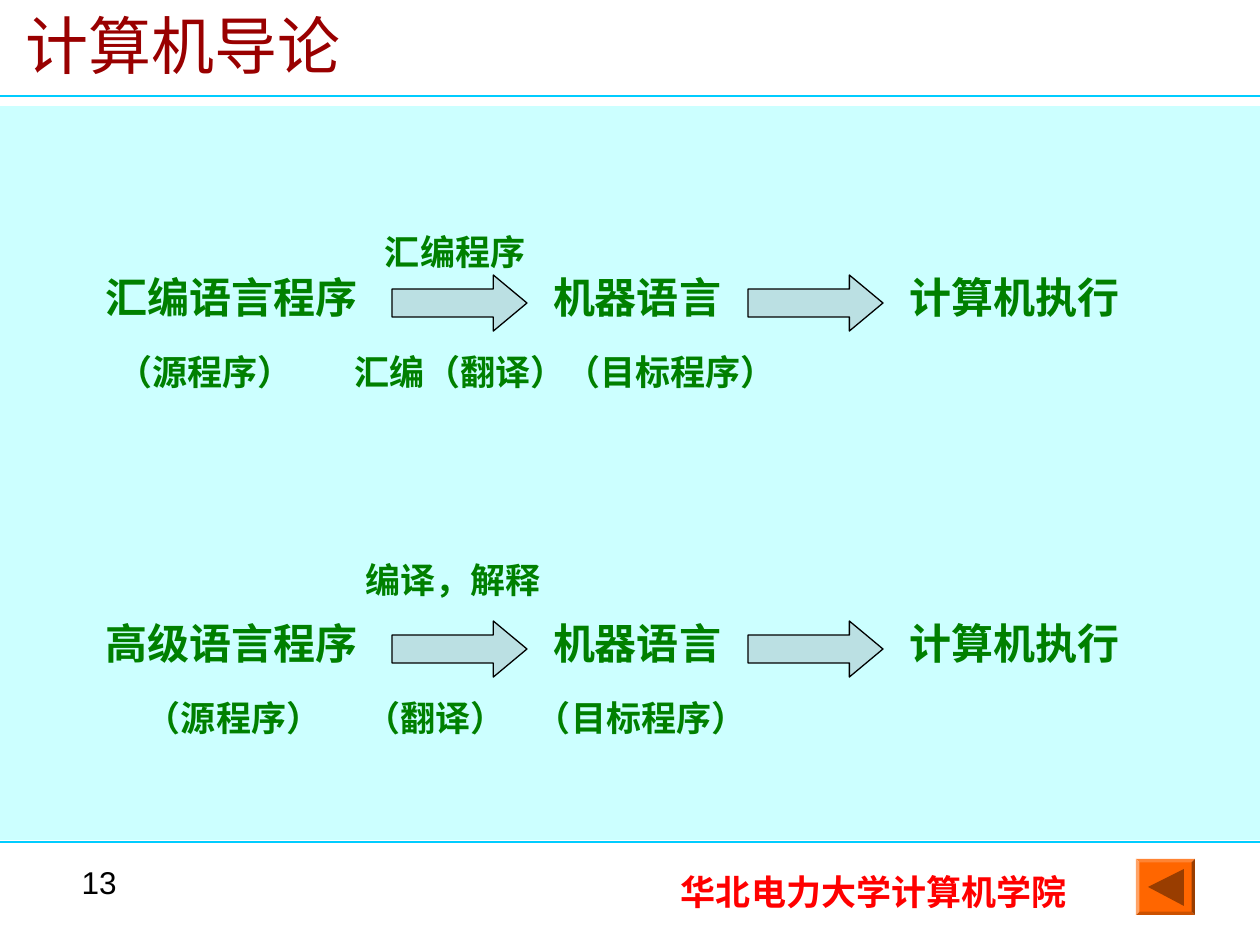
"""Build a slide showing how assembly and high-level programs become machine language."""
from dataclasses import dataclass

import pptx
import pptx.dml.color
import pptx.enum.shapes
import pptx.enum.text
import pptx.oxml
import pptx.oxml.ns
import pptx.util

RGBColor = pptx.dml.color.RGBColor
MSO_SHAPE = pptx.enum.shapes.MSO_SHAPE
PP_ALIGN = pptx.enum.text.PP_ALIGN

EMU_PER_PX = 914400 / 126
SLIDE_W, SLIDE_H = 1260, 945
FONT = "Arial"

BLACK = RGBColor(0x00, 0x00, 0x00)
GREEN = RGBColor(0x00, 0x80, 0x00)
RED = RGBColor(0xFF, 0x00, 0x00)
MAROON = RGBColor(0x99, 0x00, 0x00)
PALE_CYAN = RGBColor(0xCC, 0xFF, 0xFF)
CYAN = RGBColor(0x00, 0xCC, 0xFF)
ARROW_BLUE = RGBColor(0xBB, 0xE0, 0xE3)
ORANGE = RGBColor(0xFF, 0x66, 0x00)
BROWN = RGBColor(0x99, 0x3D, 0x00)


@dataclass(frozen=True)
class Label:
    text: str
    x: int
    y: int
    w: int
    h: int = 55
    size: int = 20
    color: RGBColor = GREEN
    bold: bool = True
    align: PP_ALIGN = PP_ALIGN.LEFT
    inset: int = 12
    tab: int = 0


@dataclass(frozen=True)
class Flow:
    y: int
    source: str
    notes: tuple[Label, ...]


FLOWS = (
    Flow(265, "汇编语言程序", (
        Label("（源程序）", 105, 344, 232),
        Label("汇编（翻译）（目标程序）", 343, 344, 476),
        Label("汇编程序", 373, 224, 180),
    )),
    Flow(611, "高级语言程序", (
        Label("（源程序）", 134, 690, 238),
        Label("（翻译）\t（目标程序）", 353, 690, 436, tab=171),
        Label("编译，解释", 353, 552, 258),
    )),
)
FRAME_LABELS = (
    Label("华北电力大学计算机学院", 669, 864, 427, color=RED),
    Label("计算机导论", 0, 0, 1052, 88, 36, MAROON, False, inset=26),
    Label("13", 16, 857, 113, 66, 18, BLACK, False, PP_ALIGN.RIGHT),
)
ARROW_XS = (392, 748)
RULE_YS = (96, 842)


def px(n: int) -> pptx.util.Emu:
    return pptx.util.Emu(round(n * EMU_PER_PX))


def add_label(s: pptx.slide.Slide, label: Label) -> None:
    sp = s.shapes.add_textbox(px(label.x), px(label.y), px(label.w), px(label.h))
    tf = sp.text_frame
    tf.word_wrap = True
    tf.margin_left = px(label.inset)
    p = tf.paragraphs[0]
    p.alignment = label.align
    if label.tab:
        tabs = pptx.oxml.parse_xml(
            f'<a:tabLst {pptx.oxml.ns.nsdecls("a")}>'
            f'<a:tab pos="{px(label.tab)}" algn="l"/></a:tabLst>')
        p._p.get_or_add_pPr().append(tabs)
    r = p.add_run()
    r.text = label.text
    r.font.name = FONT
    r.font.size = pptx.util.Pt(label.size)
    r.font.bold = label.bold
    r.font.color.rgb = label.color


def paint(sp: pptx.shapes.autoshape.Shape, fill: RGBColor,
          line: RGBColor | None = None) -> None:
    sp.shadow.inherit = False
    sp.fill.solid()
    sp.fill.fore_color.rgb = fill
    if line is None:
        sp.line.fill.background()
    else:
        sp.line.color.rgb = line
        sp.line.width = pptx.util.Pt(0.75)


def add_block(s: pptx.slide.Slide, kind: MSO_SHAPE, box: tuple[int, int, int, int],
              fill: RGBColor, line: RGBColor | None = None,
              adjustments: tuple[float, ...] = ()) -> None:
    sp = s.shapes.add_shape(kind, *map(px, box))
    for i, value in enumerate(adjustments):
        sp.adjustments[i] = value
    paint(sp, fill, line)


def add_rule(s: pptx.slide.Slide, y: int) -> None:
    rule = s.shapes.add_connector(
        pptx.enum.shapes.MSO_CONNECTOR.STRAIGHT, 0, px(y), px(SLIDE_W), px(y))
    rule.line.color.rgb = CYAN
    rule.line.width = pptx.util.Pt(0.75)
    rule._element.spPr.append(
        pptx.oxml.parse_xml(f'<a:effectLst {pptx.oxml.ns.nsdecls("a")}/>'))


def add_back_button(s: pptx.slide.Slide) -> None:
    add_block(s, MSO_SHAPE.BEVEL, (1136, 859, 59, 56), ORANGE, adjustments=(0.06,))
    builder = s.shapes.build_freeform(1148, 887, scale=EMU_PER_PX)
    builder.add_line_segments([(1184, 869), (1184, 906)], close=True)
    paint(builder.convert_to_shape(), BROWN)


def add_flow(s: pptx.slide.Slide, flow: Flow) -> None:
    steps = ((flow.source, 94, 279), ("机器语言", 541, 205), ("计算机执行", 898, 237))
    for text, x, w in steps:
        add_label(s, Label(text, x, flow.y, w, 63, 24))
    for note in flow.notes:
        add_label(s, note)
    for x in ARROW_XS:
        add_block(s, MSO_SHAPE.RIGHT_ARROW, (x, flow.y + 10, 135, 56),
                  ARROW_BLUE, BLACK, (0.5, 0.6))


def main() -> None:
    prs = pptx.Presentation()
    prs.slide_width, prs.slide_height = px(SLIDE_W), px(SLIDE_H)
    s = prs.slides.add_slide(prs.slide_layouts[6])
    add_block(s, MSO_SHAPE.RECTANGLE, (0, 106, SLIDE_W, 734), PALE_CYAN)
    add_back_button(s)
    for y in RULE_YS:
        add_rule(s, y)
    for label in FRAME_LABELS:
        add_label(s, label)
    for flow in FLOWS:
        add_flow(s, flow)
    prs.save("out.pptx")


if __name__ == "__main__":
    main()
